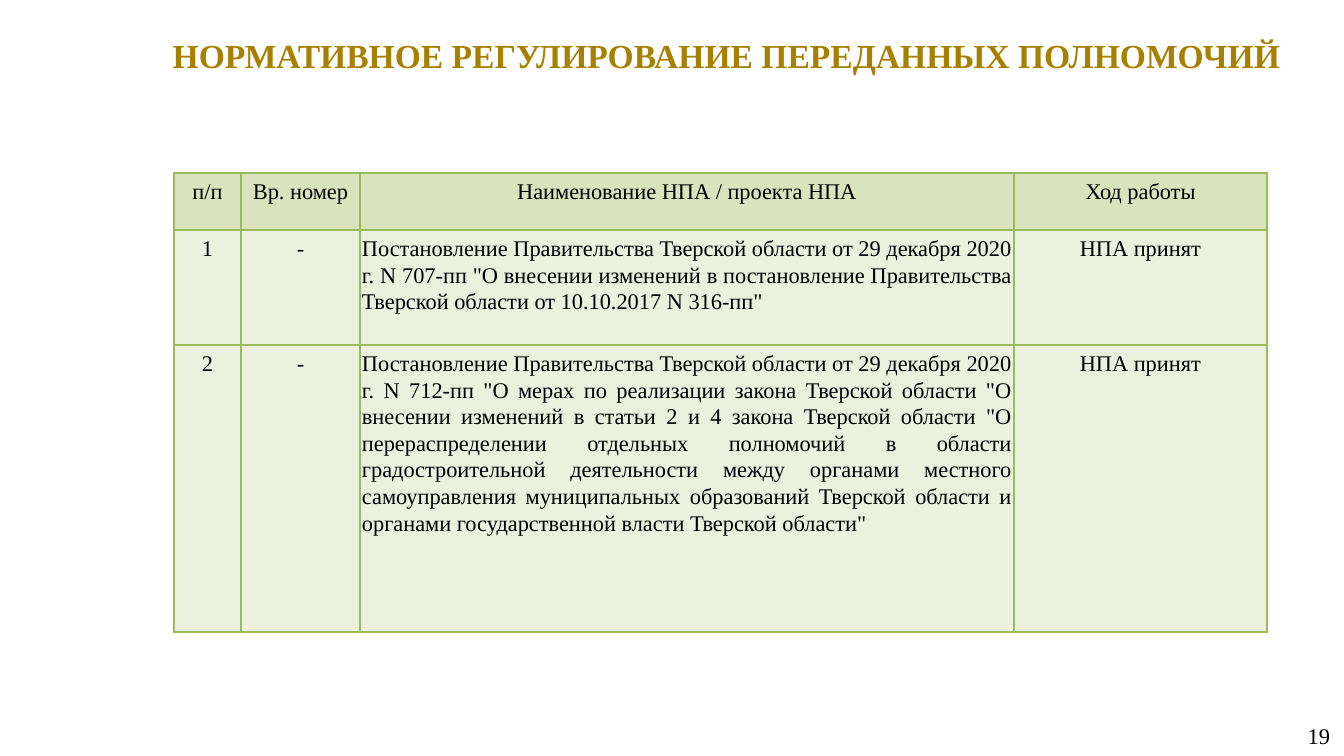
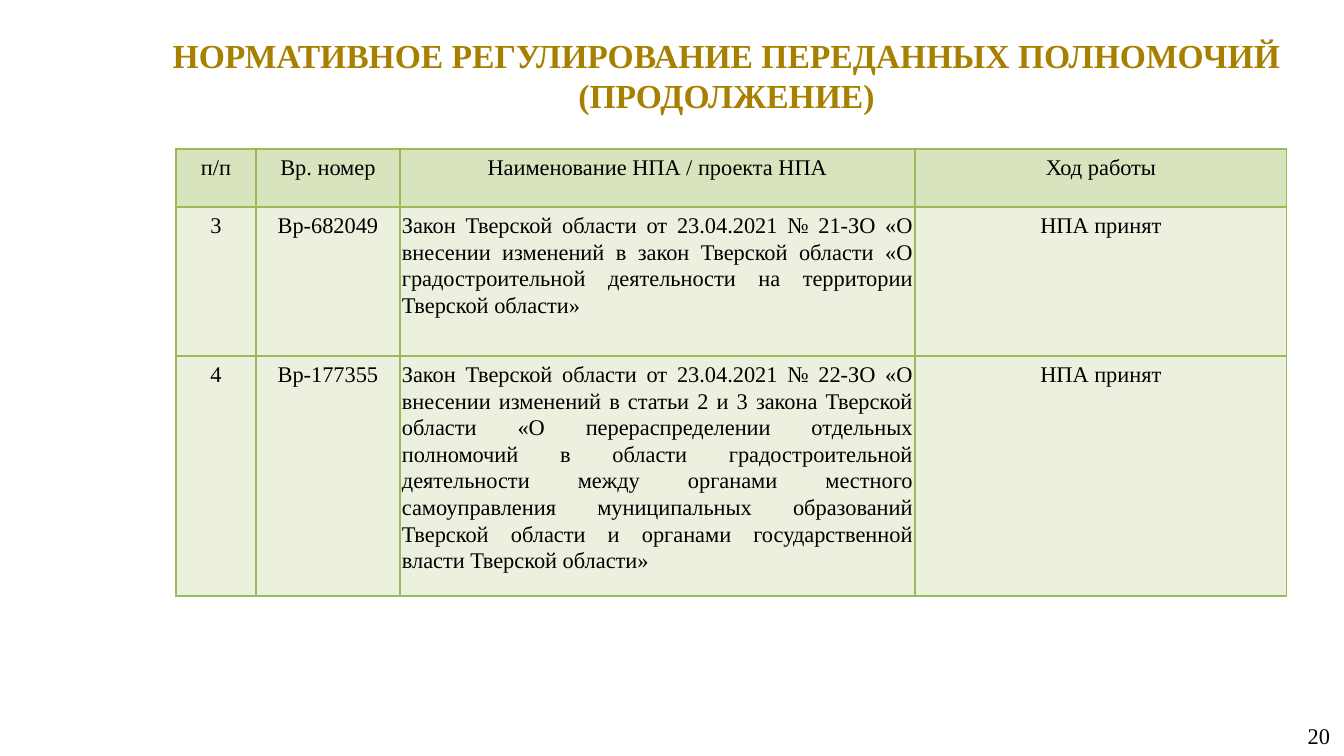
import lxml.etree
import pptx
import pptx.dml.color
import pptx.enum.text
import pptx.oxml
import pptx.oxml.ns
import pptx.util

SCALE = 914400 / 100.8
SLIDE_WIDTH, SLIDE_HEIGHT = 1344, 756

GOLD = pptx.dml.color.RGBColor(0xA8, 0x80, 0x00)
BLACK = pptx.dml.color.RGBColor(0x00, 0x00, 0x00)
HEADER_GREEN = pptx.dml.color.RGBColor(0xD7, 0xE4, 0xBD)
BODY_GREEN = pptx.dml.color.RGBColor(0xEB, 0xF1, 0xDE)
BORDER_GREEN = pptx.dml.color.RGBColor(0x9B, 0xBB, 0x59)

FONT_NAME = "Times New Roman"
TITLE_SIZE, TEXT_SIZE = 24, 16
BORDER_WIDTH = pptx.util.Pt(0.96)
ALIGN = pptx.enum.text.PP_ALIGN
ANCHOR = pptx.enum.text.MSO_ANCHOR

NAME_COLUMN = 2
TITLE = "НОРМАТИВНОЕ РЕГУЛИРОВАНИЕ ПЕРЕДАННЫХ ПОЛНОМОЧИЙ"
HEADERS = ("п/п", "Вр. номер", "Наименование НПА / проекта НПА", "Ход работы")
ADOPTED = "НПА принят"
PAGE_NUMBER_BOX = (1029, 716, 314, 40)

SLIDES = [
    {
        "title": TITLE,
        "title_box": (148, 28, 1157, 53),
        "page": 19,
        "table_origin": (174, 173),
        "columns": (67, 119, 654, 253),
        "rows": (57, 115, 287),
        "acts": [
            ("1", "-",
             'Постановление Правительства Тверской области от 29 декабря 2020 г. '
             'N 707-пп "О внесении изменений в постановление Правительства '
             'Тверской области от 10.10.2017 N 316-пп"', ADOPTED),
            ("2", "-",
             'Постановление Правительства Тверской области от 29 декабря 2020 г. '
             'N 712-пп "О мерах по реализации закона Тверской области "О внесении '
             'изменений в статьи 2 и 4 закона Тверской области "О перераспределении '
             'отдельных полномочий в области градостроительной деятельности между '
             'органами местного самоуправления муниципальных образований Тверской '
             'области и органами государственной власти Тверской области"', ADOPTED),
        ],
    },
    {
        "title": TITLE + " (ПРОДОЛЖЕНИЕ)",
        "title_box": (148, 28, 1157, 94),
        "page": 20,
        "table_origin": (176, 149),
        "columns": (80, 144, 515, 372),
        "rows": (58, 149, 240),
        "acts": [
            ("3", "Вр-682049",
             "Закон Тверской области от 23.04.2021 № 21-ЗО «О внесении изменений "
             "в закон Тверской области «О градостроительной деятельности на "
             "территории Тверской области»", ADOPTED),
            ("4", "Вр-177355",
             "Закон Тверской области от 23.04.2021 № 22-ЗО «О внесении изменений "
             "в статьи 2 и 3 закона Тверской области «О перераспределении отдельных "
             "полномочий в области градостроительной деятельности между органами "
             "местного самоуправления муниципальных образований Тверской области и "
             "органами государственной власти Тверской области»", ADOPTED),
        ],
    },
]


def emu(pixels):
    """Turn pixels into EMU."""
    return pptx.util.Emu(round(pixels * SCALE))


def style_paragraph(paragraph, alignment, size=TEXT_SIZE, color=BLACK, bold=False):
    """Set the alignment and font of a paragraph."""
    paragraph.alignment = alignment
    paragraph.font.name = FONT_NAME
    paragraph.font.size = pptx.util.Pt(size)
    paragraph.font.color.rgb = color
    paragraph.font.bold = bold


def fill_text_frame(shape, text, anchor):
    """Put text into a wrapping frame with the shared insets."""
    frame = shape.text_frame
    frame.text = text
    frame.word_wrap = True
    frame.vertical_anchor = anchor
    frame.margin_left = frame.margin_right = emu(13)
    frame.margin_top = frame.margin_bottom = emu(7)
    return frame


def place_title(slide, text, box):
    """Move the title placeholder to the box and format it."""
    title = slide.shapes.title
    title.left, title.top, title.width, title.height = map(emu, box)
    frame = fill_text_frame(title, text, ANCHOR.TOP)
    frame.auto_size = pptx.enum.text.MSO_AUTO_SIZE.SHAPE_TO_FIT_TEXT
    style_paragraph(frame.paragraphs[0], ALIGN.CENTER, TITLE_SIZE, GOLD, True)


def add_page_number(slide, number, box):
    """Write the page number at the right of the box."""
    shape = slide.shapes.add_textbox(*map(emu, box))
    frame = fill_text_frame(shape, str(number), ANCHOR.MIDDLE)
    style_paragraph(frame.paragraphs[0], ALIGN.RIGHT)


def add_cell_borders(cell):
    """Draw a thin green line on every side of a cell."""
    properties = cell._tc.get_or_add_tcPr()
    for index, side in enumerate(("lnL", "lnR", "lnT", "lnB")):
        line = pptx.oxml.parse_xml(
            f'<a:{side} {pptx.oxml.ns.nsdecls("a")} w="{BORDER_WIDTH}">'
            f'<a:solidFill><a:srgbClr val="{BORDER_GREEN}"/></a:solidFill></a:{side}>')
        properties.insert(index, line)


def fill_cell(cell, text, color, alignment):
    """Set the text, fill, insets and borders of a cell."""
    cell.text = text
    cell.margin_left = cell.margin_right = emu(2)
    cell.margin_top = cell.margin_bottom = emu(5)
    cell.vertical_anchor = ANCHOR.TOP
    cell.fill.solid()
    cell.fill.fore_color.rgb = color
    paragraph = cell.text_frame.paragraphs[0]
    style_paragraph(paragraph, alignment)
    paragraph.line_spacing = 1.07
    paragraph.space_after = pptx.util.Pt(8)
    add_cell_borders(cell)


def add_acts_table(slide, origin, columns, rows, acts):
    """Add the table of legal acts with its top left corner at the origin."""
    box = (*origin, sum(columns), sum(rows))
    table = slide.shapes.add_table(len(rows), len(columns), *map(emu, box)).table
    table.first_row = table.horz_banding = False
    for column, width in zip(table.columns, columns):
        column.width = emu(width)
    for row, height in zip(table.rows, rows):
        row.height = emu(height)
    for row_index, texts in enumerate([HEADERS, *acts]):
        is_header = row_index == 0
        color = HEADER_GREEN if is_header else BODY_GREEN
        for column_index, text in enumerate(texts):
            is_name = column_index == NAME_COLUMN and not is_header
            alignment = ALIGN.JUSTIFY if is_name else ALIGN.CENTER
            fill_cell(table.cell(row_index, column_index), text, color, alignment)


def add_acts_slide(presentation, content):
    """Add one slide with a title, a page number and a table of acts."""
    slide = presentation.slides.add_slide(presentation.slide_layouts[5])
    place_title(slide, content["title"], content["title_box"])
    add_page_number(slide, content["page"], PAGE_NUMBER_BOX)
    add_acts_table(slide, content["table_origin"], content["columns"],
                   content["rows"], content["acts"])


def main():
    """Build and save the presentation."""
    presentation = pptx.Presentation()
    presentation.slide_width = emu(SLIDE_WIDTH)
    presentation.slide_height = emu(SLIDE_HEIGHT)
    for content in SLIDES:
        add_acts_slide(presentation, content)
    presentation.save("out.pptx")


main()
